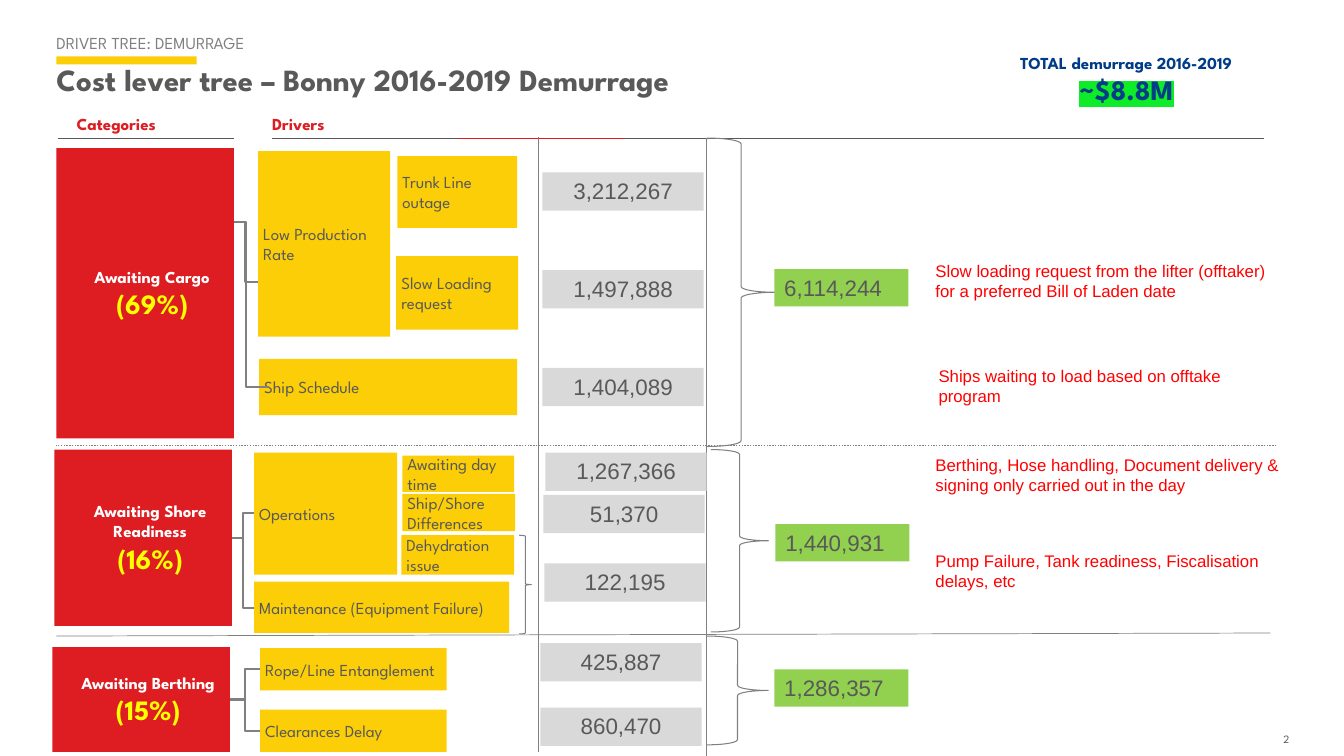
import dataclasses
import pptx
import pptx.dml.color
import pptx.enum.shapes
import pptx.enum.text
import pptx.oxml
import pptx.oxml.ns
import pptx.util

Inches = pptx.util.Inches
Pt = pptx.util.Pt
Shape = pptx.enum.shapes.MSO_SHAPE
Joint = pptx.enum.shapes.MSO_CONNECTOR
Align = pptx.enum.text.PP_ALIGN
Anchor = pptx.enum.text.MSO_ANCHOR
Dash = pptx.enum.dml.MSO_LINE


@dataclasses.dataclass(frozen=True)
class Theme:
    head: str = "League Spartan"
    plain: str = "Arial"
    red: str = "DD1D21"
    gold: str = "FBCE07"
    green: str = "92D050"
    pale: str = "D9D9D9"
    gray: str = "808080"
    dark: str = "595959"
    blue: str = "003C88"
    white: str = "FFFFFF"
    yellow: str = "FFFF00"
    note: str = "FF0000"
    mark: str = "0EEB29"
    tiny: int = 8
    small: int = 12
    mid: int = 16
    big: int = 20
    title: int = 22


T = Theme()

CAUSES = [
    ("Awaiting Cargo", "(69%)", 0.56, 1.47, 2.88),
    ("Awaiting Shore Readiness", "(16%)", 0.54, 4.46, 1.75),
    ("Awaiting Berthing", "(15%)", 0.52, 6.42, 1.04),
]
DRIVERS = [
    ("Low Production Rate", 2.56, 1.5, 1.31, 1.84),
    ("Trunk Line outage", 3.94, 1.55, 1.19, 0.71),
    ("Slow Loading request", 3.93, 2.54, 1.21, 0.73),
    ("Ship Schedule", 2.57, 3.56, 2.56, 0.56),
    ("Operations", 2.52, 4.49, 1.42, 1.21),
    ("Maintenance (Equipment Failure)", 2.52, 5.77, 2.53, 0.51),
    ("Dehydration issue", 3.98, 5.31, 1.12, 0.39),
    ("Ship/Shore Differences", 3.99, 4.9, 1.12, 0.37),
    ("Awaiting day time", 3.99, 4.52, 1.11, 0.36),
    ("Rope/Line Entanglement", 2.58, 6.43, 1.85, 0.42),
    ("Clearances Delay", 2.58, 7.04, 1.85, 0.42),
]
COSTS = [
    ("3,212,267", 5.38, 1.71),
    ("1,497,888", 5.38, 2.68),
    ("1,404,089", 5.38, 3.65),
    ("1,267,366", 5.41, 4.49),
    ("51,370", 5.39, 4.91),
    ("122,195", 5.4, 5.59),
    ("425,887", 5.36, 6.38),
    ("860,470", 5.36, 7.02),
]
SUMS = [
    ("6,114,244", 7.68, 2.67),
    ("1,440,931", 7.69, 5.2),
    ("1,286,357", 7.68, 6.64),
]
NOTES = [
    ("Slow loading request from the lifter (offtaker) for a preferred Bill of Laden date", 9.18, 2.54, 3.48),
    ("Ships waiting to load based on offtake program", 9.21, 3.58, 3.39),
    ("Berthing, Hose handling, Document delivery & signing only carried out in the day", 9.18, 4.46, 3.62),
    ("Pump Failure, Tank readiness, Fiscalisation delays, etc", 9.18, 5.41, 3.45),
]
BENDS = [
    (2.31, 2.2, 2.56, 2.8),
    (2.21, 2.2, 2.67, 3.84),
    (2.3, 5.34, 2.52, 5.09),
    (2.3, 5.34, 2.52, 6.03),
    (2.28, 6.94, 2.58, 6.64),
    (2.28, 6.94, 2.58, 7.25),
]
RULES = [
    (0.58, 1.37, 2.32, 1.37, T.dark, 0.75, None),
    (2.7, 1.37, 12.54, 1.37, T.dark, 0.75, None),
    (4.55, 1.37, 6.19, 1.37, T.red, 0.75, None),
    (0.56, 6.31, 12.6, 6.28, T.gray, 0.5, None),
    (12.66, 4.42, 0.56, 4.42, T.gray, 1, Dash.ROUND_DOT),
    (5.34, 1.36, 5.34, 7.46, T.gray, 0.75, None),
    (7.01, 1.37, 7.01, 7.5, T.gray, 0.75, None),
]
BRACES = [
    (7.01, 1.37, 0.68, 3.06),
    (7.05, 4.46, 0.57, 1.81),
    (7.01, 6.31, 0.61, 1.08),
    (5.15, 5.31, 0.12, 0.98),
]


def tint(hue):
    return pptx.dml.color.RGBColor.from_string(hue)


def write(frame, text, size=T.small, color=T.dark, font=T.head, bold=False,
          align=Align.LEFT, anchor=Anchor.TOP, pad=(0, 0, 0, 0), wrap=True, more=False, mark=None):
    frame.word_wrap = wrap
    frame.vertical_anchor = anchor
    frame.margin_left, frame.margin_top, frame.margin_right, frame.margin_bottom = map(Inches, pad)
    para = frame.add_paragraph() if more else frame.paragraphs[0]
    para.alignment = align
    run = para.add_run()
    run.text = text
    run.font.size = Pt(size)
    run.font.name = font
    run.font.bold = bold
    run.font.color.rgb = tint(color)
    if mark:
        glow = pptx.oxml.parse_xml(
            f'<a:highlight {pptx.oxml.ns.nsdecls("a")}><a:srgbClr val="{mark}"/></a:highlight>')
        run.font.fill._xPr.find(pptx.oxml.ns.qn("a:solidFill")).addnext(glow)


def label(slide, box, text, **form):
    frame = slide.shapes.add_textbox(*map(Inches, box)).text_frame
    write(frame, text, **form)
    return frame


def block(slide, box, fill):
    shape = slide.shapes.add_shape(Shape.RECTANGLE, *map(Inches, box))
    shape.shadow.inherit = False
    shape.fill.solid()
    shape.fill.fore_color.rgb = tint(fill)
    shape.line.fill.background()
    return shape.text_frame


def brace(slide, box):
    shape = slide.shapes.add_shape(Shape.RIGHT_BRACE, *map(Inches, box))
    shape.shadow.inherit = False
    shape.fill.background()
    shape.line.color.rgb = tint(T.gray)
    shape.line.width = Pt(0.75)


def link(slide, ends, color, width, dash=None, kind=Joint.STRAIGHT):
    line = slide.shapes.add_connector(kind, *map(Inches, ends))
    line.line.color.rgb = tint(color)
    line.line.width = Pt(width)
    if dash:
        line.line.dash_style = dash
    line._element.spPr.append(pptx.oxml.parse_xml(f'<a:effectLst {pptx.oxml.ns.nsdecls("a")}/>'))


def header(slide):
    block(slide, (0.56, 0.56, 1.39, 0.08), T.gold)
    title = slide.shapes.title
    title.left, title.top, title.width, title.height = map(Inches, (0.56, 0.6, 9.15, 0.37))
    write(title.text_frame, "Cost lever tree – Bonny 2016-2019 Demurrage", size=T.title, bold=True)
    label(slide, (0.56, 0.32, 1.99, 0.2), "DRIVER TREE: DEMURRAGE", color=T.gray, wrap=False)
    total = label(slide, (10.01, 0.52, 2.32, 0.51), "TOTAL demurrage 2016-2019",
                  color=T.blue, bold=True, align=Align.CENTER)
    write(total, "~$8.8M", size=T.big, color=T.blue, bold=True, align=Align.CENTER, more=True, mark=T.mark)
    for text, left in (("Categories", 0.76), ("Drivers", 2.7)):
        label(slide, (left, 1.13, 1.74, 0.22), text, color=T.red, bold=True,
              anchor=Anchor.BOTTOM, pad=(0, 0, 0, 0.02))
    label(slide, (12.65, 7.27, 0.14, 0.13), "2", size=T.tiny, align=Align.RIGHT,
          anchor=Anchor.BOTTOM, wrap=False)


def tree(slide):
    for text, *box in DRIVERS:
        write(block(slide, box, T.gold), text, anchor=Anchor.MIDDLE, pad=(0.05,) * 4)
    for ends in BENDS:
        link(slide, ends, T.gray, 1.5, kind=Joint.ELBOW)
    for text, share, left, top, height in CAUSES:
        frame = block(slide, (left, top, 1.76, height), T.red)
        form = dict(bold=True, align=Align.CENTER, anchor=Anchor.MIDDLE, pad=(0.19, 0.05, 0.05, 0.05))
        write(frame, text, color=T.white, **form)
        write(frame, share, size=T.big, color=T.yellow, more=True, **form)


def costs(slide):
    form = dict(font=T.plain, pad=(0.1, 0.05, 0.1, 0.05))
    for text, left, top in COSTS:
        write(block(slide, (left, top, 1.6, 0.38), T.pale), text, size=T.mid, align=Align.CENTER, **form)
    for box in BRACES:
        brace(slide, box)
    for text, left, top in SUMS:
        write(block(slide, (left, top, 1.33, 0.37), T.green), text, size=T.mid, **form)
    for text, left, top, width in NOTES:
        label(slide, (left, top, width, 0.5), text, color=T.note, **form)


def main():
    deck = pptx.Presentation()
    deck.slide_width, deck.slide_height = Inches(13.33), Inches(7.5)
    slide = deck.slides.add_slide(deck.slide_layouts[5])
    header(slide)
    tree(slide)
    for *ends, color, width, dash in RULES:
        link(slide, ends, color, width, dash)
    costs(slide)
    deck.save("out.pptx")


if __name__ == "__main__":
    main()
